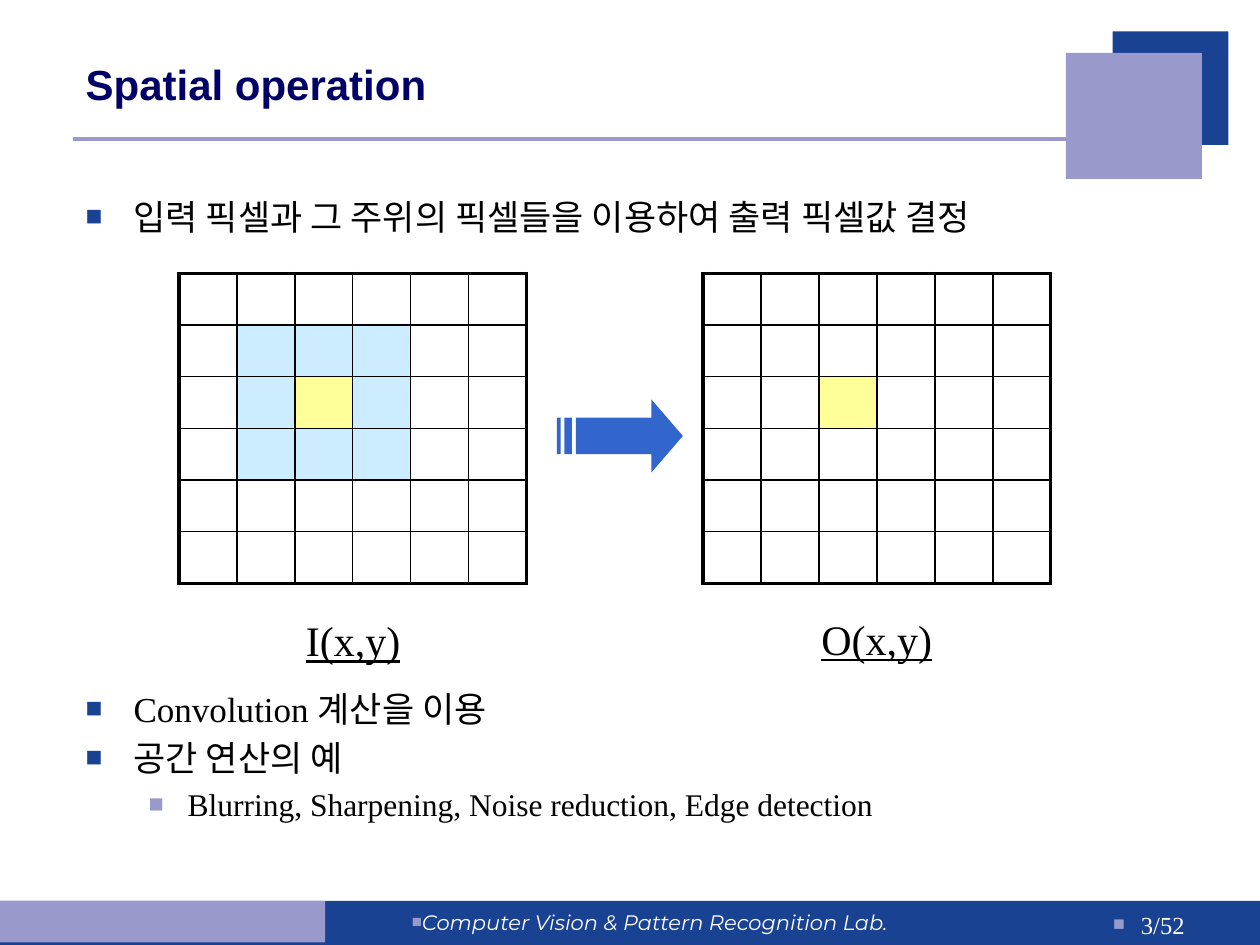
import lxml.etree
import pptx
import pptx.dml.color
import pptx.enum.shapes
import pptx.enum.text
import pptx.oxml.ns
import pptx.util

Inches = pptx.util.Inches
Pt = pptx.util.Pt
qn = pptx.oxml.ns.qn
RECTANGLE = pptx.enum.shapes.MSO_SHAPE.RECTANGLE
STRAIGHT = pptx.enum.shapes.MSO_CONNECTOR.STRAIGHT
ALIGN = pptx.enum.text.PP_ALIGN
ANCHOR = pptx.enum.text.MSO_ANCHOR
AUTO_SIZE = pptx.enum.text.MSO_AUTO_SIZE

COLORS = {
    "navy": "194293", "lilac": "9999CC", "title": "000066", "arrow": "3366CC",
    "neighbor": "CCECFF", "center": "FFFF99", "ink": "000000", "white": "FFFFFF",
}
SERIF = "Times New Roman"
GRID_SIZE = 6


def rgb(name):
    return pptx.dml.color.RGBColor.from_string(COLORS[name])


def place(shape, left, top, width, height):
    shape.left, shape.top = Inches(left), Inches(top)
    shape.width, shape.height = Inches(width), Inches(height)


def paint(shape, color):
    shape.shadow.inherit = False
    shape.fill.solid()
    shape.fill.fore_color.rgb = rgb(color)
    shape.line.fill.background()


def add_span(para, text, size, color="ink", font=SERIF):
    span = para.add_run()
    span.text = text
    span.font.name = font
    span.font.size = Pt(size)
    span.font.color.rgb = rgb(color)
    return span


def set_bullet(para, color, margin=0, hanging=0):
    """Give the paragraph a square bullet; lengths are in inches."""
    props = para._p.get_or_add_pPr()
    props.set("marL", str(Inches(margin)))
    props.set("indent", str(-Inches(hanging)))
    bullet_color = lxml.etree.SubElement(props, qn("a:buClr"))
    lxml.etree.SubElement(bullet_color, qn("a:srgbClr"), val=COLORS[color])
    lxml.etree.SubElement(props, qn("a:buSzPct"), val="80000")
    lxml.etree.SubElement(props, qn("a:buFont"), typeface="Arial")
    lxml.etree.SubElement(props, qn("a:buChar"), char="■")


def add_text_box(page, left, top, width, height):
    box = page.shapes.add_textbox(Inches(left), Inches(top), Inches(width), Inches(height))
    box.text_frame.word_wrap = True
    return box.text_frame


def add_decoration(page):
    rule = page.shapes.add_connector(
        STRAIGHT, Inches(0.58), Inches(1.1), Inches(8.5), Inches(1.1))
    rule.line.color.rgb = rgb("lilac")
    rule.line.width = Pt(2.25)
    lxml.etree.SubElement(rule._element.spPr, qn("a:effectLst"))
    for color, *area in (
        ("navy", 0, 7.15, 10, 0.35),
        ("lilac", 0, 7.15, 2.58, 0.33),
        ("navy", 8.83, 0.25, 0.92, 0.9),
        ("lilac", 8.46, 0.42, 1.08, 1),
    ):
        paint(page.shapes.add_shape(RECTANGLE, *map(Inches, area)), color)


def fill_title(page, left, top, width, height):
    title = page.shapes.title
    place(title, left, top, width, height)
    title.text_frame.vertical_anchor = ANCHOR.MIDDLE
    para = title.text_frame.paragraphs[0]
    para.alignment = ALIGN.LEFT
    add_span(para, "Spatial operation", 24, "title", "Arial").font.bold = True


def fill_body(page, left, top, width, height):
    body = page.placeholders[1]
    place(body, left, top, width, height)
    frame = body.text_frame
    frame.auto_size = AUTO_SIZE.NONE
    grid_gap = 257
    for index, (text, level, space) in enumerate((
        ("입력 픽셀과 그 주위의 픽셀들을 이용하여 출력 픽셀값 결정", 0, 0),
        ("Convolution 계산을 이용", 0, grid_gap),
        ("공간 연산의 예", 0, 4),
        ("Blurring, Sharpening, Noise reduction, Edge detection", 1, 4),
    )):
        para = frame.add_paragraph() if index else frame.paragraphs[0]
        para.level = level
        if level:
            set_bullet(para, "lilac", 0.81, 0.31)
        else:
            set_bullet(para, "navy", 0.38, 0.38)
        para.space_before = Pt(space)
        add_span(para, text, 18 if level else 20)


def set_borders(cell, row, column):
    """Draw thin cell edges, thick where they lie on the grid's outline."""
    last = GRID_SIZE - 1
    props = cell._tc.get_or_add_tcPr()
    for side, outer in (("L", column == 0), ("R", column == last),
                        ("T", row == 0), ("B", row == last)):
        edge = lxml.etree.SubElement(
            props, qn("a:ln" + side), w=str(Pt(2.25 if outer else 1)))
        fill = lxml.etree.SubElement(edge, qn("a:solidFill"))
        lxml.etree.SubElement(fill, qn("a:srgbClr"), val=COLORS["ink"])


def add_pixel_grid(page, left, top, cell_width, cell_height, fills):
    table = page.shapes.add_table(
        GRID_SIZE, GRID_SIZE, Inches(left), Inches(top),
        Inches(GRID_SIZE * cell_width), Inches(GRID_SIZE * cell_height)).table
    table.first_row = table.horz_banding = False
    for column in table.columns:
        column.width = Inches(cell_width)
    for row in table.rows:
        row.height = Inches(cell_height)
    for index, cell in enumerate(table.iter_cells()):
        position = divmod(index, GRID_SIZE)
        cell.margin_top = cell.margin_bottom = 0
        set_borders(cell, *position)
        if position in fills:
            cell.fill.solid()
            cell.fill.fore_color.rgb = rgb(fills[position])
        else:
            cell.fill.background()


def add_striped_arrow(page, left, top, width, height):
    shaft_top, shaft_bottom = height / 4, height * 3 / 4
    head = width * 3 / 4

    def stripe(start, end):
        return [(start, shaft_top), (start, shaft_bottom), (end, shaft_bottom), (end, shaft_top)]

    outlines = [
        [(head, 0), (head, shaft_top), (0.15, shaft_top), (0.15, shaft_bottom),
         (head, shaft_bottom), (head, height), (width, height / 2)],
        stripe(0.06, 0.12),
        stripe(0, 0.03),
    ]
    builder = None
    for outline in outlines:
        start, *rest = [(Inches(left + x), Inches(top + y)) for x, y in outline]
        if builder is None:
            builder = page.shapes.build_freeform(*start)
        else:
            builder.move_to(*start)
        builder.add_line_segments(rest, close=True)
    paint(builder.convert_to_shape(), "arrow")


def add_grid_label(page, text, left, top, width, height):
    frame = add_text_box(page, left, top, width, height)
    frame.auto_size = AUTO_SIZE.SHAPE_TO_FIT_TEXT
    add_span(frame.paragraphs[0], text, 24).font.underline = True


def add_footer(page, top, height):
    lab = add_text_box(page, 3.17, top, 4.58, height).paragraphs[0]
    set_bullet(lab, "lilac")
    add_span(lab, "Computer Vision & Pattern Recognition Lab.", 12,
             "white", "Montserrat").font.italic = True
    number = add_text_box(page, 7.92, top, 1.58, height).paragraphs[0]
    set_bullet(number, "lilac", 0.22, 0.22)
    number.alignment = ALIGN.RIGHT
    add_span(number, "3/52", 14, "white")


def main():
    deck = pptx.Presentation()
    deck.slide_width, deck.slide_height = Inches(10), Inches(7.5)
    page = deck.slides.add_slide(deck.slide_layouts[1])
    add_decoration(page)
    fill_title(page, 0.58, 0.25, 7.67, 0.83)
    fill_body(page, 0.58, 1.5, 8.92, 5.25)
    center = {(2, 2): "center"}
    window = {(row, column): "neighbor" for row in (1, 2, 3) for column in (1, 2, 3)}
    add_pixel_grid(page, 1.42, 2.17, 0.46, 0.41, window | center)
    add_pixel_grid(page, 5.58, 2.17, 0.46, 0.41, center)
    add_striped_arrow(page, 4.42, 3.17, 1, 0.58)
    add_grid_label(page, "I(x,y)", 2.33, 4.83, 1.12, 0.5)
    add_grid_label(page, "O(x,y)", 6.42, 4.82, 1.15, 0.5)
    add_footer(page, 7.17, 0.33)
    deck.save("out.pptx")


if __name__ == "__main__":
    main()
